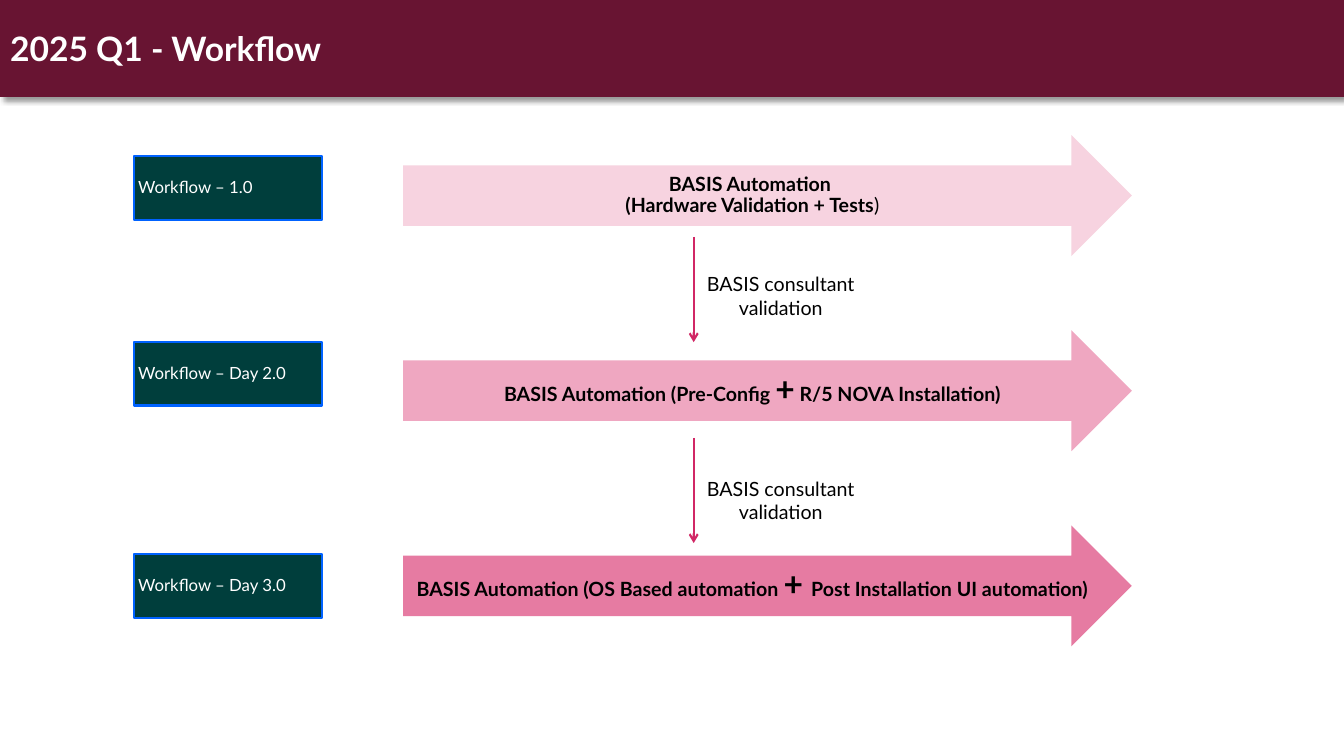
from lxml.etree import SubElement
from pptx import Presentation
from pptx.dml.color import RGBColor
from pptx.enum.shapes import MSO_CONNECTOR, MSO_SHAPE
from pptx.enum.text import MSO_ANCHOR, MSO_AUTO_SIZE, PP_ALIGN
from pptx.oxml.ns import qn
from pptx.util import Pt

FONT = "Lato"
TAG_LEFT, TAG_WIDTH, TAG_HEIGHT = 96, 134, 45.5
STAGE_LEFT, STAGE_WIDTH, STAGE_HEIGHT = 288, 520.5, 86.4
STAGE_TOP, STAGE_PITCH = 96.5, 139.4
CHECK_LEFT, CHECK_WIDTH, CHECK_HEIGHT = 495.5, 124.5, 75.2

WORKFLOWS = [
    ("Workflow – 1.0", 111.6, "F7D3E0",
     [[("BASIS Automation ", 14, True)],
      [("(Hardware Validation + Tests", 14, True), (")", 14, False)]]),
    ("Workflow – Day 2.0", 244.2, "EFA7C1",
     [[("BASIS Automation (Pre-Config ", 14, True), ("+", 24, True),
       (" R/5 NOVA Installation)", 14, True)]]),
    ("Workflow – Day 3.0", 396, "E67BA2",
     [[("BASIS Automation (OS Based automation ", 14, True), ("+ ", 24, True),
       ("Post Installation UI automation)", 14, True)]]),
]
CHECKS = [(169.2, 25.2), (312.7, 27.9)]


def color(hex_string):
    """Turn a hex string into a colour."""
    return RGBColor.from_string(hex_string)


def set_font(font, size, hex_string, bold=False):
    """Apply the slide font with a size, colour and weight."""
    font.name = FONT
    font.size = Pt(size)
    font.bold = bold
    font.color.rgb = color(hex_string)


def set_margins(frame, margin):
    """Give a text frame the same margin on all sides."""
    frame.margin_left = frame.margin_right = Pt(margin)
    frame.margin_top = frame.margin_bottom = Pt(margin)


def add_block(slide, preset, left, top, width, height, fill):
    """Add a flat filled shape with a middle-anchored text frame."""
    block = slide.shapes.add_shape(preset, Pt(left), Pt(top), Pt(width), Pt(height))
    block.shadow.inherit = False
    block.fill.solid()
    block.fill.fore_color.rgb = color(fill)
    block.line.fill.background()
    frame = block.text_frame
    frame.word_wrap = True
    frame.vertical_anchor = MSO_ANCHOR.MIDDLE
    set_margins(frame, 2.7)
    return block


def add_header(slide, width, height, text):
    """Turn the title placeholder into the shadowed header band."""
    title = slide.shapes.title
    title.left, title.top, title.width, title.height = Pt(0), Pt(0), Pt(width), Pt(height)
    title.fill.solid()
    title.fill.fore_color.rgb = color("681432")
    effects = SubElement(title._element.spPr, qn("a:effectLst"))
    shadow = SubElement(effects, qn("a:outerShdw"), blurRad=str(Pt(4)), dist=str(Pt(3)),
                        dir="2700000", algn="tl", rotWithShape="0")
    tint = SubElement(shadow, qn("a:srgbClr"), val="000000")
    SubElement(tint, qn("a:alpha"), val="40000")
    frame = title.text_frame
    frame.text = text
    frame.word_wrap = True
    frame.auto_size = MSO_AUTO_SIZE.NONE
    frame.vertical_anchor = MSO_ANCHOR.MIDDLE
    paragraph = frame.paragraphs[0]
    paragraph.alignment = PP_ALIGN.LEFT
    set_font(paragraph.font, 24, "FFFFFF", True)


def add_tag(slide, left, top, width, height, text):
    """Add the outlined tag that names a workflow."""
    tag = add_block(slide, MSO_SHAPE.RECTANGLE, left, top, width, height, "003E3C")
    tag.line.color.rgb = color("0062FF")
    tag.line.width = Pt(1.5)
    paragraph = tag.text_frame.paragraphs[0]
    paragraph.text = text
    paragraph.alignment = PP_ALIGN.LEFT
    paragraph.line_spacing = 0.9
    set_font(paragraph.font, 12, "FFFFFF")


def add_stage(slide, left, top, width, height, fill, lines):
    """Add the block arrow that describes a workflow."""
    stage = add_block(slide, MSO_SHAPE.RIGHT_ARROW, left, top, width, height, fill)
    frame = stage.text_frame
    for index, pieces in enumerate(lines):
        paragraph = frame.add_paragraph() if index else frame.paragraphs[0]
        paragraph.alignment = PP_ALIGN.CENTER
        paragraph.line_spacing = 0.9
        for text, size, bold in pieces:
            run = paragraph.add_run()
            run.text = text
            set_font(run.font, size, "000000", bold)


def add_check(slide, left, top, width, height, label_offset):
    """Add a down arrow with the validation label to its right."""
    arrow = slide.shapes.add_connector(
        MSO_CONNECTOR.STRAIGHT, Pt(left), Pt(top), Pt(left), Pt(top + height))
    arrow.line.color.rgb = color("D12765")
    arrow.line.width = Pt(1.5)
    SubElement(arrow.line._get_or_add_ln(), qn("a:tailEnd"), type="arrow")
    SubElement(arrow._element.spPr, qn("a:effectLst"))
    label = slide.shapes.add_textbox(Pt(left), Pt(top + label_offset), Pt(width), Pt(34))
    frame = label.text_frame
    frame.word_wrap = True
    frame.auto_size = MSO_AUTO_SIZE.SHAPE_TO_FIT_TEXT
    set_margins(frame, 0)
    paragraph = frame.paragraphs[0]
    paragraph.text = "BASIS consultant validation"
    paragraph.alignment = PP_ALIGN.CENTER
    set_font(paragraph.font, 14, "000000")


def main():
    """Build the workflow slide and save it."""
    deck = Presentation()
    deck.slide_width, deck.slide_height = Pt(960), Pt(540)
    slide = deck.slides.add_slide(deck.slide_layouts[5])
    add_header(slide, 960, 69.2, "2025 Q1 - Workflow")
    for index, (name, tag_top, fill, lines) in enumerate(WORKFLOWS):
        add_tag(slide, TAG_LEFT, tag_top, TAG_WIDTH, TAG_HEIGHT, name)
        add_stage(slide, STAGE_LEFT, STAGE_TOP + index * STAGE_PITCH,
                  STAGE_WIDTH, STAGE_HEIGHT, fill, lines)
    for top, label_offset in CHECKS:
        add_check(slide, CHECK_LEFT, top, CHECK_WIDTH, CHECK_HEIGHT, label_offset)
    deck.save("out.pptx")


if __name__ == "__main__":
    main()
